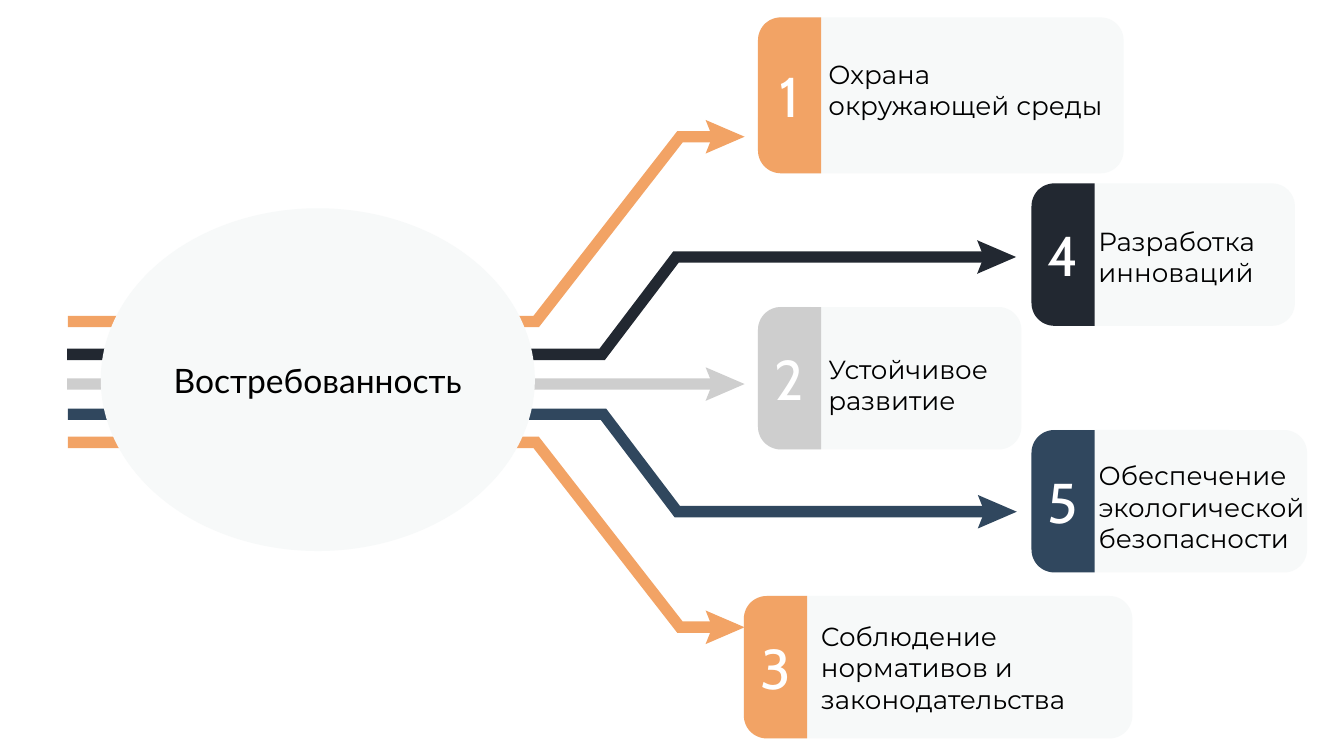
import math

import pptx
import pptx.dml.color
import pptx.enum.shapes
import pptx.enum.text
import pptx.util

PX = 4572  # EMU per px, 200 px to the inch
BAND = 17
KNEE_SHIFT = 8
TAB_WIDTH = 94
CORNER = 34
HEAD_LENGTH, HEAD_HALF, HEAD_NOTCH, HEAD_OVERLAP = 58, 25, 10, 19

ORANGE, NAVY, BLUE, GREY = "F2A365", "222831", "30475E", "CECECE"
PALE, WHITE, BLACK = "F7F9F9", "FFFFFF", "000000"

# colour, left, top at start, top at end, first knee, second knee, right
ARROWS = [
    (GREY, 100, 563, 563, 800, 1000, 1069),
    (ORANGE, 101, 470, 195, 794, 1008, 1069),
    (NAVY, 100, 519, 374, 892, 1002, 1473),
    (BLUE, 101, 608, 753, 894, 1004, 1474),
    (ORANGE, 101, 650, 925, 794, 1008, 1069),
]

# number, colour, card box, label, label box
CARDS = [
    ("3", ORANGE, (1107, 887, 578, 212),
     "Соблюдение нормативов и законодательства", (1202, 912, 482, 162)),
    ("1", ORANGE, (1128, 26, 544, 232),
     "Охрана окружающей среды", (1213, 44, 458, 178)),
    ("2", GREY, (1128, 457, 392, 212),
     "Устойчивое развитие", (1213, 507, 292, 130)),
    ("4", NAVY, (1535, 273, 392, 212),
     "Разработка инноваций", (1615, 315, 334, 134)),
    ("5", BLUE, (1535, 640, 410, 212),
     "Обеспечение экологической безопасности", (1615, 638, 362, 232)),
]


def px(*lengths):
    return [pptx.util.Emu(round(length * PX)) for length in lengths]


def rgb(value):
    return pptx.dml.color.RGBColor.from_string(value)


def paint(shape, colour):
    shape.shadow.inherit = False
    shape.fill.solid()
    shape.fill.fore_color.rgb = rgb(colour)
    shape.line.fill.background()


def write(shape, text, font, size, colour, centred=True, inset=20):
    frame = shape.text_frame
    frame.word_wrap = True
    frame.vertical_anchor = pptx.enum.text.MSO_ANCHOR.MIDDLE
    margin = px(inset)[0]
    frame.margin_left = frame.margin_right = margin
    frame.margin_top = frame.margin_bottom = margin
    paragraph = frame.paragraphs[0]
    align = pptx.enum.text.PP_ALIGN
    paragraph.alignment = align.CENTER if centred else align.LEFT
    run = paragraph.add_run()
    run.text = text
    run.font.name = font
    run.font.size = pptx.util.Pt(size)
    run.font.color.rgb = rgb(colour)


def add_outline(slide, points, colour):
    start, *others = [px(*point) for point in points]
    builder = slide.shapes.build_freeform(*start, scale=1.0)
    builder.add_line_segments(others, close=True)
    shape = builder.convert_to_shape()
    paint(shape, colour)
    return shape


def add_preset(slide, kind, box, colour):
    shape = slide.shapes.add_shape(kind, *px(*box))
    paint(shape, colour)
    return shape


def add_arrow(slide, colour, left, start, end, knee_1, knee_2, right):
    # The knees of the outer edge of each bend sit a little further right
    upper, lower = (0, KNEE_SHIFT) if end < start else (KNEE_SHIFT, 0)
    add_outline(slide, [
        (left, start), (knee_1 + upper, start),
        (knee_2 + upper, end), (right, end),
        (right, end + BAND), (knee_2 + lower, end + BAND),
        (knee_1 + lower, start + BAND), (left, start + BAND),
    ], colour)
    # Notched head centred on the band
    middle = end + BAND / 2
    back = right - HEAD_OVERLAP
    add_outline(slide, [
        (back, middle - HEAD_HALF), (back + HEAD_LENGTH, middle),
        (back, middle + HEAD_HALF), (back + HEAD_NOTCH, middle),
    ], colour)


def add_tab(slide, number, colour, left, top, height):
    def corner(centre_y, first_angle):
        angles = [math.radians(first_angle + step) for step in range(0, 91, 6)]
        return [(left + CORNER + CORNER * math.cos(angle),
                 centre_y + CORNER * math.sin(angle)) for angle in angles]

    right, bottom = left + TAB_WIDTH, top + height
    points = [(right, top), (right, bottom)]
    points += corner(bottom - CORNER, 90) + corner(top + CORNER, 180)
    write(add_outline(slide, points, colour), number, "Cabin", 30, WHITE)


def add_card(slide, number, colour, box):
    left, top, _, height = box
    kind = pptx.enum.shapes.MSO_SHAPE.ROUNDED_RECTANGLE
    card = add_preset(slide, kind, box, PALE)
    card.adjustments[0] = CORNER / height
    add_tab(slide, number, colour, left, top, height)


def add_label(slide, text, box):
    label = slide.shapes.add_textbox(*px(*box))
    write(label, text, "Montserrat", 14, BLACK, centred=False)


def main():
    presentation = pptx.Presentation()
    presentation.slide_width, presentation.slide_height = px(2000, 1125)
    slide = presentation.slides.add_slide(presentation.slide_layouts[6])

    # Arrows running behind the central topic
    for arrow in ARROWS:
        add_arrow(slide, *arrow)

    # Central topic
    topic = add_preset(slide, pptx.enum.shapes.MSO_SHAPE.OVAL,
                       (150, 310, 646, 510), PALE)
    write(topic, "Востребованность", "Lato", 18, BLACK, inset=0)

    # Numbered cards
    for number, colour, box, _, _ in CARDS:
        add_card(slide, number, colour, box)

    # Card labels
    for _, _, _, text, label_box in CARDS:
        add_label(slide, text, label_box)

    presentation.save("out.pptx")


if __name__ == "__main__":
    main()
